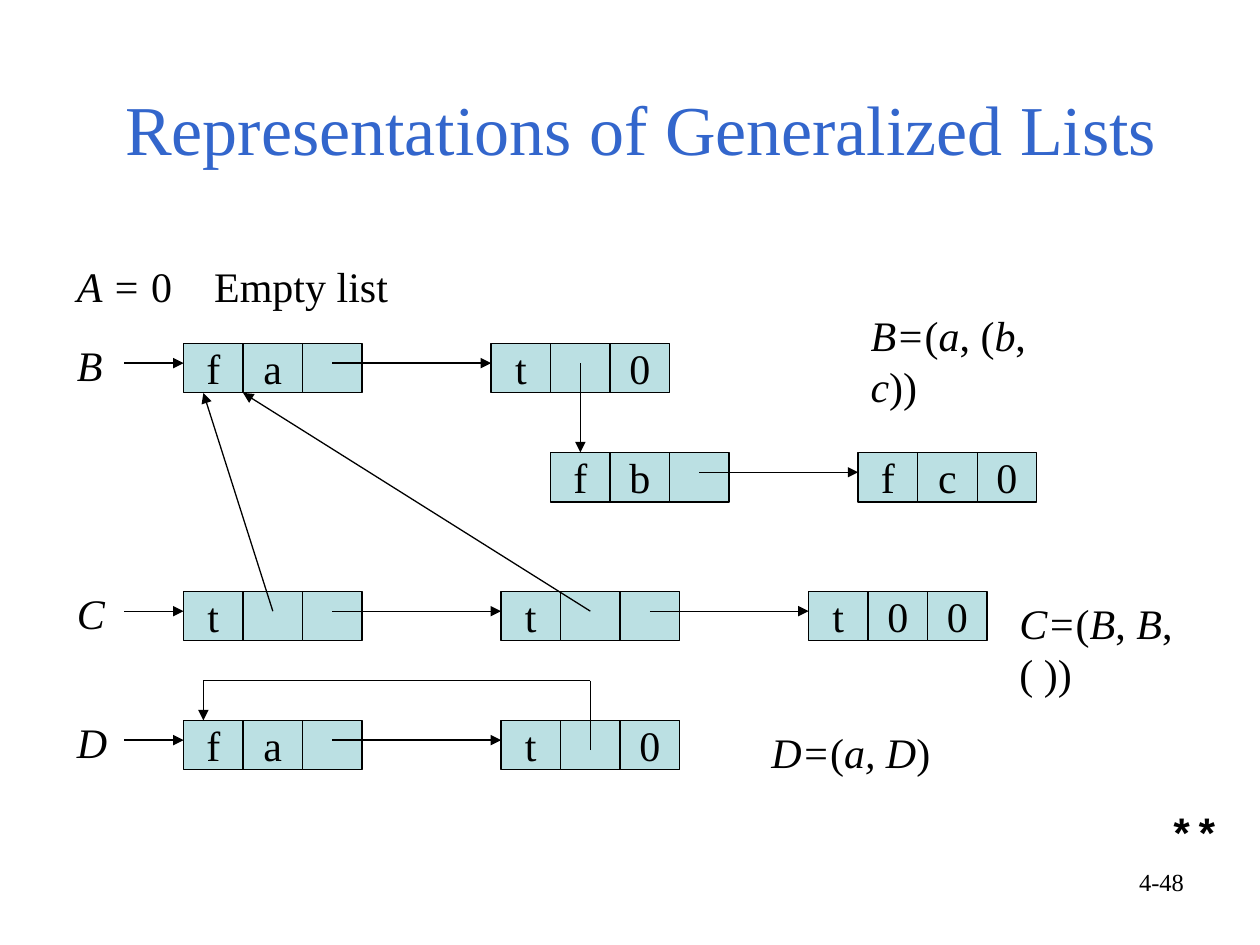
from lxml.etree import SubElement
from pptx import Presentation
from pptx.dml.color import RGBColor
from pptx.enum.shapes import MSO_CONNECTOR as Connector, MSO_SHAPE as Shape
from pptx.enum.text import MSO_ANCHOR as Anchor, PP_ALIGN as Align
from pptx.oxml.ns import qn
from pptx.util import Inches, Mm, Pt


def color(value):
    """Turn a hex string into a colour."""
    return RGBColor.from_string(value)


def grid(*units):
    """Turn columns or rows of the 2 mm grid into lengths."""
    return [Mm(2 * unit) for unit in units]


class ListDiagram:
    """Hold the style and the current slide of a linked-list diagram."""

    FONT = "Times New Roman"
    INK, FILL, TITLE = "000000", "BBE0E3", "3366CC"
    CELL, HEIGHT, ENTRY = 6, 5, 2

    def __init__(self, presentation):
        """Add a title-only slide."""
        self.slide = presentation.slides.add_slide(presentation.slide_layouts[5])

    def style(self, run, size=24, ink=INK, font=FONT, bold=False, italic=False):
        """Format one run."""
        run.font.size, run.font.name = Pt(size), font
        run.font.bold, run.font.italic = bold, italic
        run.font.color.rgb = color(ink)

    def title(self, text, left, top, width, height):
        """Place and format the title."""
        shape = self.slide.shapes.title
        shape.left, shape.top, shape.width, shape.height = grid(left, top, width, height)
        frame = shape.text_frame
        frame.text, frame.vertical_anchor = text, Anchor.BOTTOM
        frame.paragraphs[0].alignment = Align.CENTER
        self.style(frame.paragraphs[0].runs[0], 40, self.TITLE)

    def text(self, left, top, width, pieces, align=Align.LEFT, wrap=True, tab=None, **style):
        """Add a text box whose pieces alternate italic and upright unless styled."""
        box = self.slide.shapes.add_textbox(*grid(left, top, width, 6.35))
        box.text_frame.word_wrap = wrap
        paragraph = box.text_frame.paragraphs[0]
        paragraph.alignment = align
        if tab:
            stops = SubElement(paragraph._p.get_or_add_pPr(), qn("a:tabLst"))
            SubElement(stops, qn("a:tab"), pos=str(Inches(tab)), algn="l")
        for index, piece in enumerate(pieces):
            run = paragraph.add_run()
            run.text = piece
            self.style(run, **{"italic": index % 2 == 0, **style})

    def cell(self, left, top, text):
        """Add one field of a node."""
        shape = self.slide.shapes.add_shape(
            Shape.RECTANGLE, *grid(left, top, self.CELL, self.HEIGHT))
        shape.shadow.inherit = False
        shape.fill.solid()
        shape.fill.fore_color.rgb = color(self.FILL)
        shape.line.color.rgb, shape.line.width = color(self.INK), Pt(0.75)
        frame = shape.text_frame
        frame.word_wrap, frame.vertical_anchor = False, Anchor.MIDDLE
        if text:
            frame.text = text
            frame.paragraphs[0].alignment = Align.CENTER
            self.style(frame.paragraphs[0].runs[0])
        return shape

    def node(self, left, top, fields):
        """Add a node of adjoining fields and return its cells."""
        return [self.cell(left + index * self.CELL, top, field)
                for index, field in enumerate(fields)]

    def line(self, start, end, arrow=True, target=None):
        """Draw a line, with an arrowhead and joined to a cell's top if asked."""
        connector = self.slide.shapes.add_connector(
            Connector.STRAIGHT, *grid(*start, *end))
        connector.line.color.rgb, connector.line.width = color(self.INK), Pt(0.75)
        if arrow:
            SubElement(connector.line._get_or_add_ln(), qn("a:tailEnd"), type="triangle")
        SubElement(connector._element.spPr, qn("a:effectLst"))
        if target:
            connector.end_connect(target, 0)

    def link(self, start, end, top):
        """Draw a level arrow at the entry height of a row of nodes."""
        self.line((start, top + self.ENTRY), (end, top + self.ENTRY))


def main():
    """Build the slide and save it."""
    presentation = Presentation()
    presentation.slide_width, presentation.slide_height = Inches(10), Inches(7.5)
    diagram = ListDiagram(presentation)
    diagram.title("Representations of Generalized Lists", 9.5, 6.5, 110.2, 11.2)

    first, second, row_b, row_bc, row_c, row_d = 18.5, 50.5, 34.6, 45.6, 59.6, 72.6
    middle, last, tag = 9, 15, 2
    rows = [
        (row_b, [(first, ["f", "a", ""]), (49.5, ["t", "", "0"])]),
        (row_bc, [(55.5, ["f", "b", ""]), (86.5, ["f", "c", "0"])]),
        (row_c, [(first, ["t", "", ""]), (second, ["t", "", ""]), (81.5, ["t", "0", "0"])]),
        (row_d, [(first, ["f", "a", ""]), (second, ["t", "", "0"])]),
    ]
    heads = {}
    for top, nodes in rows:
        for left, fields in nodes:
            heads[left, top] = diagram.node(left, top, fields)[0]
    for top, nodes in rows:
        for (left, _), (following, _) in zip(nodes, nodes[1:]):
            diagram.link(left + last, following, top)

    for name, top in (("B", row_b), ("C", row_c), ("D", row_d)):
        diagram.link(12.5, first, top)
        diagram.text(6.5, top - 1, 6, [name])

    diagram.line((49.5 + middle, row_b + 2), (58.5, row_bc), target=heads[55.5, row_bc])
    for left, target in ((first, first + tag), (second, first + diagram.CELL)):
        diagram.line((left + middle, row_c + 2), (target, row_b + diagram.HEIGHT))

    loop = [(second + middle, row_d + 3), (second + middle, row_d - 4),
            (first + tag, row_d - 4), (first + tag, row_d)]
    for index, (start, end) in enumerate(zip(loop, loop[1:])):
        diagram.line(start, end, arrow=index == 2)

    diagram.text(6.5, 25.6, 40, ["A = ", "0\tEmpty list"], tab=1.09)
    diagram.text(86.5, 30.6, 23, ["B=", "(", "a", ", (", "b", ", ", "c", "))"])
    diagram.text(101.5, row_c, 23, ["C=", "(", "B", ",", " B", ", ( ))"])
    diagram.text(76.5, row_d, 23, ["D=", "(", "a, D", ")"])
    diagram.text(91, 86.75, 29.6, ["4-48"], Align.RIGHT, size=14, italic=False)
    diagram.text(116.6, 80.8, 7.6, ["**"], wrap=False,
                 font="Courier New", bold=True, italic=False)
    presentation.save("out.pptx")


if __name__ == "__main__":
    main()
